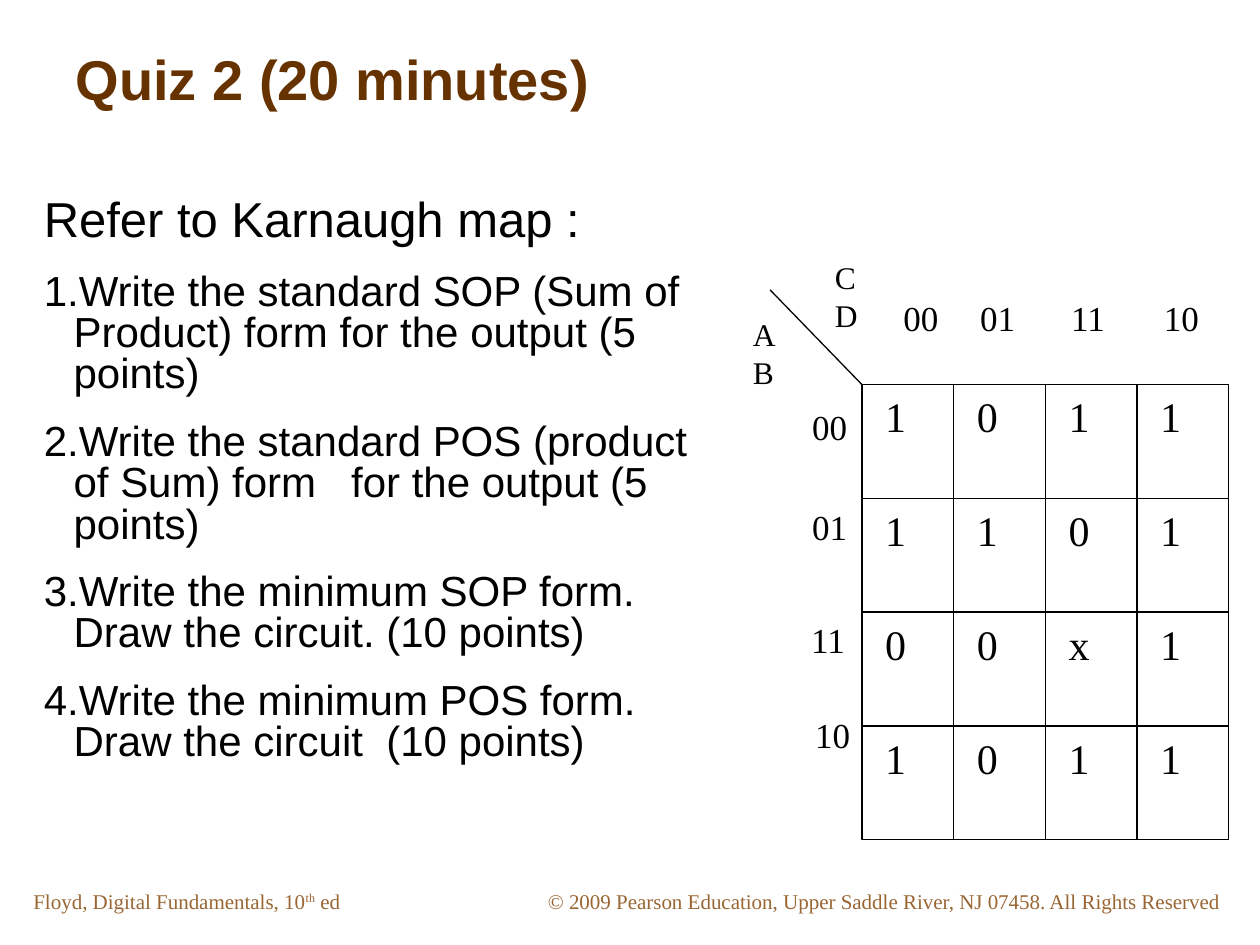
from dataclasses import dataclass

from lxml.etree import SubElement
from pptx import Presentation
from pptx.dml.color import RGBColor
from pptx.enum.shapes import MSO_CONNECTOR as Connector, MSO_SHAPE as Shape
from pptx.enum.text import MSO_ANCHOR as Anchor, MSO_AUTO_SIZE as AutoSize, PP_ALIGN as Align
from pptx.oxml.ns import qn
from pptx.util import Pt


def color(hex_code):
    return RGBColor.from_string(hex_code)


@dataclass
class QuizPage:
    page: object
    sans: str = "Arial"
    serif: str = "Times New Roman"
    ink: str = "000000"
    paper: str = "FFFFFF"
    title_color: str = "663300"
    footer_color: str = "996633"

    def style(self, para, font, size, hex_code, bold=False):
        para.alignment = Align.LEFT
        para.font.name = font
        para.font.size = Pt(size)
        para.font.bold = bold
        para.font.color.rgb = color(hex_code)

    def title(self, text, left, top, width, height):
        box = self.page.shapes.title
        box.left, box.top, box.width, box.height = map(Pt, (left, top, width, height))
        frame = box.text_frame
        frame.text = text
        frame.auto_size = AutoSize.NONE
        frame.vertical_anchor = Anchor.TOP
        self.style(frame.paragraphs[0], self.sans, 32, self.title_color, bold=True)

    def text_frame(self, left, top, width, height, wrap=True):
        frame = self.page.shapes.add_textbox(*map(Pt, (left, top, width, height))).text_frame
        frame.word_wrap = wrap
        return frame

    def label(self, text, left, top, width, height, size):
        frame = self.text_frame(left, top, width, height, wrap=False)
        frame.text = text
        self.style(frame.paragraphs[0], self.serif, size, self.ink)

    def footer(self, spans, left, width):
        para = self.text_frame(left, 504, width, 21.6).paragraphs[0]
        for text, raised in spans:
            span = para.add_run()
            span.text = text
            if raised:
                span.font._element.set("baseline", "30000")
        self.style(para, self.serif, 12, self.footer_color)

    def questions(self, heading, items, left, top, width, height):
        frame = self.text_frame(left, top, width, height)
        for index, text in enumerate([heading, *items]):
            para = frame.add_paragraph() if index else frame.paragraphs[0]
            para.text = text
            para.line_spacing = Pt(23.6)
            if index:
                para.space_before = Pt(15)
                self.number(para)
            self.style(para, self.sans, 24 if index else 28, self.ink)

    def number(self, para):
        props = para._p.get_or_add_pPr()
        props.set("marL", str(Pt(17)))
        props.set("indent", str(-Pt(17)))
        SubElement(props, qn("a:buFont"), typeface=self.sans)
        SubElement(props, qn("a:buAutoNum"), type="arabicPeriod")

    def cell(self, text, left, top, width, height):
        box = self.page.shapes.add_shape(Shape.RECTANGLE, *map(Pt, (left, top, width, height)))
        box.shadow.inherit = False
        box.fill.solid()
        box.fill.fore_color.rgb = color(self.paper)
        box.line.color.rgb = color(self.ink)
        box.line.width = Pt(0.75)
        frame = box.text_frame
        frame.text = text
        frame.margin_left = Pt(13.2)
        frame.vertical_anchor = Anchor.TOP
        self.style(frame.paragraphs[0], self.serif, 24, self.ink)

    def line(self, *ends):
        line = self.page.shapes.add_connector(Connector.STRAIGHT, *map(Pt, ends))
        line.line.color.rgb = color(self.ink)
        line.line.width = Pt(0.75)
        SubElement(line._element.spPr, qn("a:effectLst"))


def main():
    deck = Presentation()
    deck.slide_width, deck.slide_height = Pt(720), Pt(540)
    quiz = QuizPage(deck.slides.add_slide(deck.slide_layouts[5]))

    # Footer and title
    quiz.footer([("© 2009 Pearson Education, Upper Saddle River, NJ 07458. "
                  "All Rights Reserved", False)], 306, 402)
    quiz.footer([("Floyd, Digital Fundamentals, 10", False), ("th", True), (" ed", False)],
                12, 222)
    quiz.title("Quiz 2 (20 minutes)", 36, 21.6, 648, 90)

    # Karnaugh map cells
    map_left, map_top, cell_width, cell_height = 492.6, 219.8, 52.4, 65
    for row, values in enumerate(["1011", "1101", "00x1", "1011"]):
        for column, value in enumerate(values):
            quiz.cell(value, map_left + column * cell_width, map_top + row * cell_height,
                      cell_width, cell_height)

    # Variable names on either side of the diagonal
    quiz.line(440, 165.6, map_left, map_top)
    quiz.label("AB", 423.2, 176.4, 39, 29, 18)
    quiz.label("CD", 470, 144, 39, 29, 18)

    # Row and column codes
    codes = ["00", "01", "11", "10"]
    row_places = [(457, 228.4), (457, 285.2), (456.5, 350), (458.8, 404)]
    column_places = [(left, 165.6) for left in (509.2, 553, 605, 658)]
    for code, place in zip(codes * 2, row_places + column_places):
        quiz.label(code, *place, 34.4, 31.6, 20)

    # Questions
    quiz.questions("Refer to Karnaugh map :", [
        "Write the standard SOP (Sum of Product) form for the output (5 points)",
        "Write the standard POS (product of Sum) form   for the output (5 points)",
        "Write the minimum SOP form. Draw the circuit. (10 points)",
        "Write the minimum POS form. Draw the circuit  (10 points)",
    ], 18, 114, 402, 327)

    deck.save("out.pptx")


if __name__ == "__main__":
    main()
